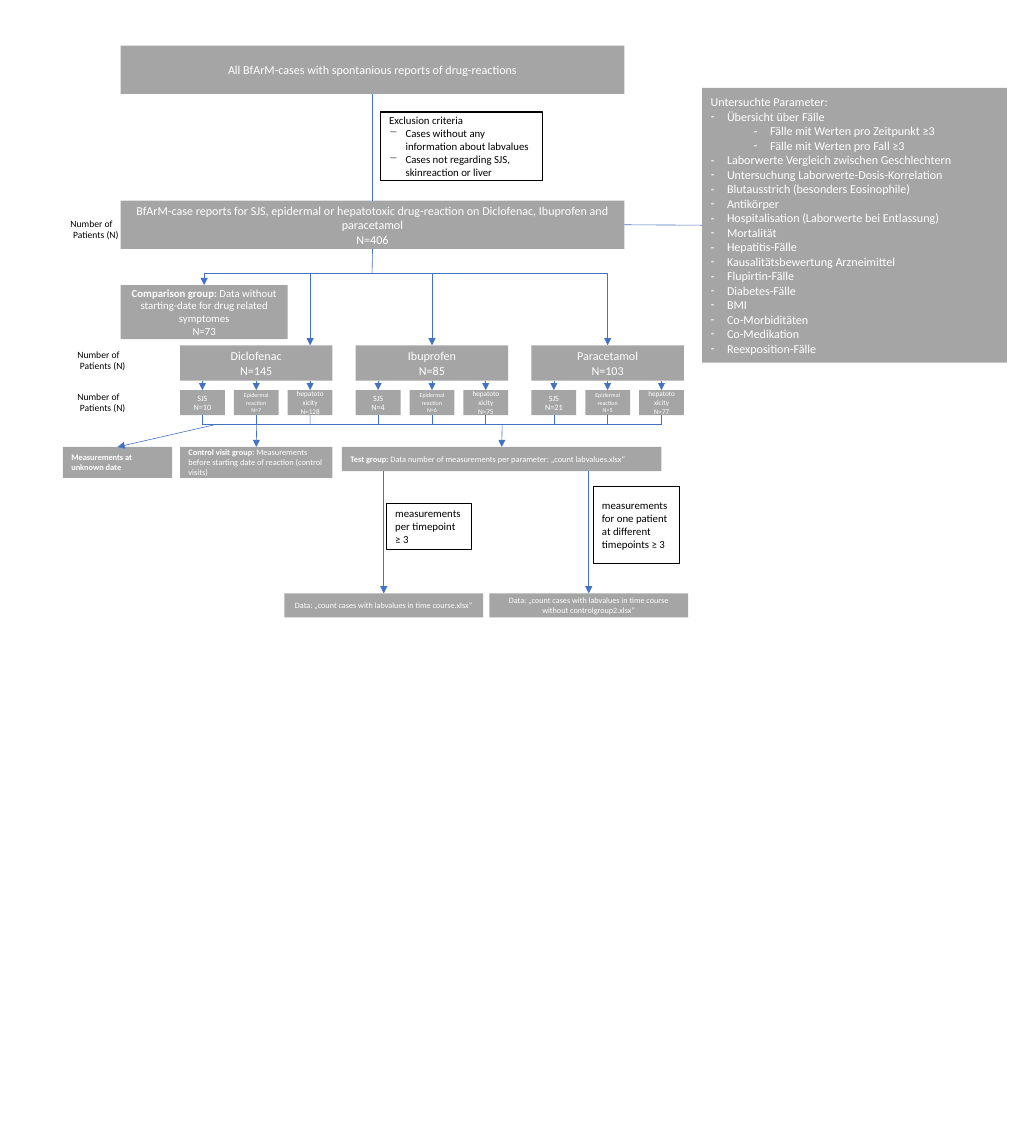
from dataclasses import dataclass

from lxml import etree
from pptx import Presentation
from pptx.dml.color import RGBColor
from pptx.enum.shapes import MSO_CONNECTOR, MSO_SHAPE
from pptx.enum.text import MSO_ANCHOR, MSO_AUTO_SIZE, PP_ALIGN
from pptx.oxml.ns import qn
from pptx.util import Inches, Pt

RECTANGLE = MSO_SHAPE.RECTANGLE
STRAIGHT = MSO_CONNECTOR.STRAIGHT
LEFT, CENTER = PP_ALIGN.LEFT, PP_ALIGN.CENTER
TOP, MIDDLE = MSO_ANCHOR.TOP, MSO_ANCHOR.MIDDLE
NO_AUTOFIT = MSO_AUTO_SIZE.NONE
SITE_TOP, SITE_LEFT, SITE_BOTTOM, SITE_RIGHT = range(4)


@dataclass(frozen=True)
class Theme:
    font: str = "Calibri"
    gray: RGBColor = RGBColor(0xA5, 0xA5, 0xA5)
    white: RGBColor = RGBColor(0xFF, 0xFF, 0xFF)
    black: RGBColor = RGBColor(0, 0, 0)
    blue: RGBColor = RGBColor(0x44, 0x72, 0xC4)
    large: float = 10.1
    medium: float = 9
    label: float = 8
    group: float = 7
    data: float = 6.8
    reactions: tuple = (6.8, 5, 6)


theme = Theme()
deck = Presentation()
deck.slide_width, deck.slide_height = Inches(11.83), Inches(13.33)
page = deck.slides.add_slide(deck.slide_layouts[1])


def fill_box(place, lines, size, align=CENTER, fill=theme.gray, box=None):
    """Lines are "text", "bold lead|text" or (level, mark, text)."""
    if box is None:
        box = page.shapes.add_shape(RECTANGLE, 0, 0, 0, 0)
    box.left, box.top, box.width, box.height = map(Inches, place)
    box.shadow.inherit = False
    if fill is None:
        box.fill.background()
    else:
        box.fill.solid()
        box.fill.fore_color.rgb = fill
    if fill == theme.white:
        box.line.color.rgb = theme.black
        box.line.width = Pt(1)
    else:
        box.line.fill.background()
    frame = box.text_frame
    frame.word_wrap = True
    frame.auto_size = NO_AUTOFIT
    frame.vertical_anchor = TOP if fill is None else MIDDLE
    for index, line in enumerate(lines):
        para = frame.add_paragraph() if index else frame.paragraphs[0]
        para.alignment = align
        para.space_before = Pt(0)
        level, mark, text = line if isinstance(line, tuple) else (0, "", line)
        para.level = level
        properties = para._p.get_or_add_pPr()
        hang = Inches(0.19) if mark else 0
        properties.set("marL", str(hang + level * Inches(0.5)))
        properties.set("indent", str(-hang))
        bullet = etree.SubElement(properties, qn("a:buChar" if mark else "a:buNone"))
        if mark:
            bullet.set("char", mark)
        para.font.name = theme.font
        para.font.size = Pt(size)
        para.font.color.rgb = theme.white if fill == theme.gray else theme.black
        lead, divider, rest = text.partition("|")
        for part, bold in ((lead, bool(divider)), (rest, False)):
            if part:
                span = para.add_run()
                span.text = part
                if divider:
                    span.font.bold = bold
    return box


def add_line(start, end, arrow=False, source=None, target=None):
    """Join the line to the bottom of source and the top of target, if given."""
    line = page.shapes.add_connector(STRAIGHT, *map(Inches, start + end))
    line.line.color.rgb = theme.blue
    line.line.width = Pt(0.5)
    properties = line._element.spPr
    if arrow:
        etree.SubElement(properties.find(qn("a:ln")), qn("a:tailEnd"), type="triangle")
    etree.SubElement(properties, qn("a:effectLst"))
    if source is not None:
        line.begin_connect(source, SITE_BOTTOM)
    if target is not None:
        line.end_connect(target, SITE_TOP)
    return line


# All cases, exclusion criteria and selected cases
trunk = 4.32
all_cases = fill_box((1.4, 0.53, 5.85, 0.56),
                     ["All BfArM-cases with spontanious reports of drug-reactions"],
                     theme.large, box=page.shapes.title)
selected = fill_box((1.4, 2.33, 5.85, 0.56),
                    ["BfArM-case reports for SJS, epidermal or hepatotoxic drug-reaction "
                     "on Diclofenac, Ibuprofen and paracetamol", "N=406"], theme.large)
add_line((trunk, 1.09), (trunk, 2.33), source=all_cases, target=selected)
fill_box((4.42, 1.3, 1.88, 0.8),
         ["Exclusion criteria",
          (0, "−", "Cases without any information about labvalues"),
          (0, "−", "Cases not regarding SJS, skinreaction or liver")],
         theme.medium, LEFT, theme.white)

# Examined parameters
overview = ["Fälle mit Werten pro Zeitpunkt ≥3", "Fälle mit Werten pro Fall ≥3"]
topics = ["Laborwerte Vergleich zwischen Geschlechtern",
          "Untersuchung Laborwerte-Dosis-Korrelation",
          "Blutausstrich (besonders Eosinophile)", "Antikörper",
          "Hospitalisation (Laborwerte bei Entlassung)", "Mortalität",
          "Hepatitis-Fälle", "Kausalitätsbewertung Arzneimittel",
          "Flupirtin-Fälle", "Diabetes-Fälle", "BMI", "Co-Morbiditäten",
          "Co-Medikation", "Reexposition-Fälle"]
parameters = fill_box((8.15, 1.02, 3.54, 3.19),
                      ["Untersuchte Parameter:", (0, "-", "Übersicht über Fälle")]
                      + [(1, "-", text) for text in overview]
                      + [(0, "-", text) for text in topics],
                      theme.large, LEFT, box=page.placeholders[1])
link = add_line((7.25, 2.61), (8.15, 2.61))
link.begin_connect(selected, SITE_RIGHT)
link.end_connect(parameters, SITE_LEFT)

# Branches to the comparison group and the drugs
branch = 3.17
add_line((trunk, 2.89), (trunk, branch), source=selected)
add_line((2.37, branch), (7.06, branch))
comparison = fill_box((1.4, 3.31, 1.94, 0.63),
                      ["Comparison group: |Data without starting-date for drug related symptomes",
                       "N=73"], theme.medium)
add_line((2.37, branch), (2.37, 3.31), True, target=comparison)

# Drugs, each with three reactions
bus = 4.93
drug_width, cell_width = 1.77, 0.52
cell_step = (drug_width - cell_width) / 2
reactions = ("SJS", "Epidermal reaction", "hepatotoxicity")
drugs = (("Diclofenac", 145, (10, 7, 128)),
         ("Ibuprofen", 85, (4, 6, 75)),
         ("Paracetamol", 103, (21, 5, 77)))
for column, (drug, total, counts) in enumerate(drugs):
    left = 2.09 + 2.04 * column
    drug_box = fill_box((left, 4.01, drug_width, 0.41), [drug, f"N={total}"], theme.large)
    if column:
        middle = left + drug_width / 2
        add_line((middle, branch), (middle, 4.01), True, target=drug_box)
    else:
        add_line((3.6, branch), (3.6, 4.01), True)
    for position, (reaction, count) in enumerate(zip(reactions, counts)):
        cell_left = left + cell_step * position
        center = cell_left + cell_width / 2
        cell = fill_box((cell_left, 4.53, cell_width, 0.29),
                        [reaction, f"N={count}"], theme.reactions[position])
        add_line((center, 4.42), (center, 4.53), True,
                 source=drug_box if position == 1 else None, target=cell)
        add_line((center, 4.82), (center, bus), source=cell)
add_line((2.35, bus), (7.68, bus))

# Row labels
for left, top in ((0.72, 2.48), (0.8, 4), (0.8, 4.49)):
    label = page.shapes.add_textbox(0, 0, 0, 0)
    fill_box((left, top, 0.86, 0.37), ["Number of", "Patients (N)"],
             theme.label, LEFT, None, label)
    label.text_frame.paragraphs[1]._p.pPr.set("marL", str(Inches(0.03)))

# Measurement groups
groups = (
    ((0.73, 5.19, 1.27, 0.36), "Measurements at unknown date|", 2.5, 1.36),
    ((2.09, 5.19, 1.77, 0.36), "Control visit group: |Measurements before starting date "
     "of reaction (control visits)", 2.98, 2.98),
    ((3.97, 5.19, 3.71, 0.28), "Test group: |Data number of measurements per parameter: "
     "„count labvalues.xlsx“", 5.83, 5.83),
)
for place, text, start, end in groups:
    group = fill_box(place, [text], theme.group, LEFT)
    add_line((start, bus), (end, 5.19), True, target=group)

# Data files and their conditions
files = (
    (3.3, "Data: „count cases with labvalues in time course.xlsx”",
     (4.49, 5.85, 0.98, 0.53), "measurements per timepoint ≥ 3"),
    (5.68, "Data: „count cases with labvalues in time course without controlgroup2.xlsx”",
     (6.89, 5.65, 1, 0.89), "measurements for one patient at different timepoints ≥ 3"),
)
for left, text, place, condition in files:
    data = fill_box((left, 6.89, 2.31, 0.28), [text], theme.data)
    center = left + 2.31 / 2
    add_line((center, 5.47), (center, 6.89), True, target=data)
    fill_box(place, [condition], theme.medium, LEFT, theme.white)

deck.save("out.pptx")
